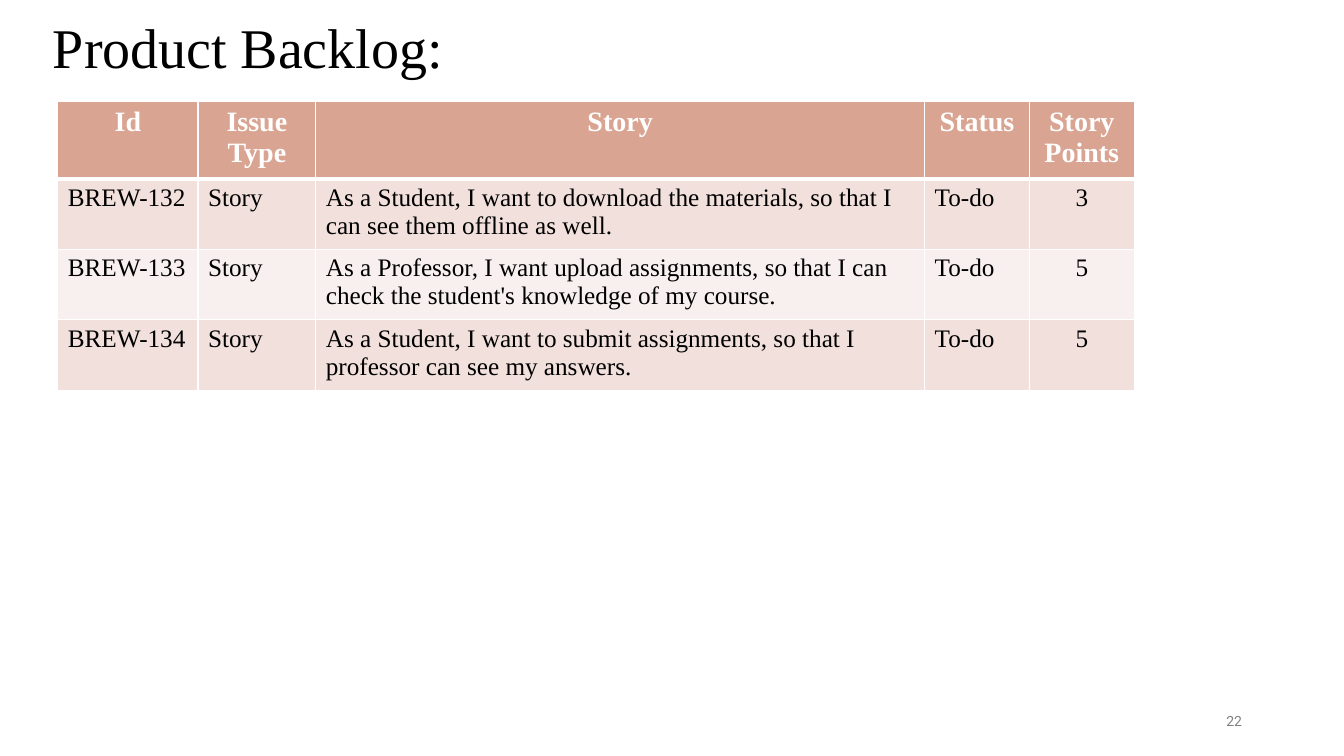
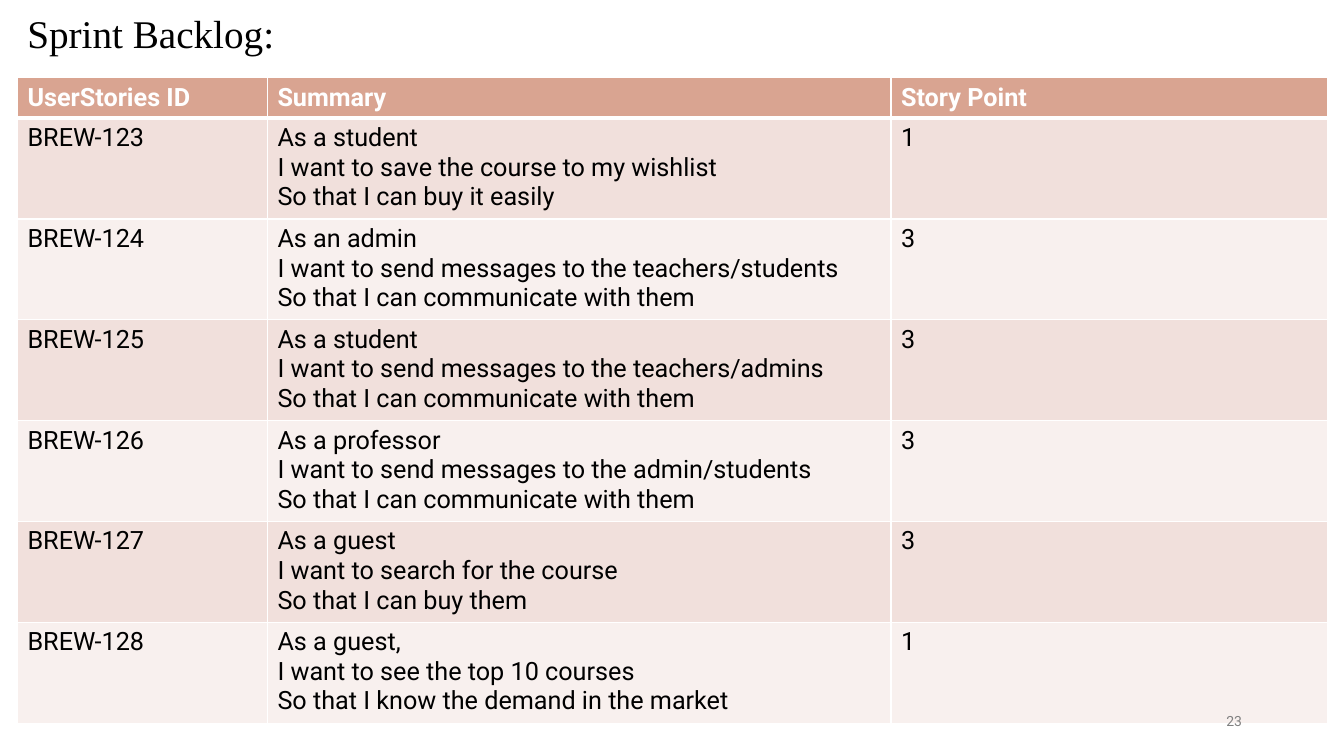
from lxml.etree import SubElement
from pptx import Presentation
from pptx.dml.color import RGBColor
from pptx.enum.text import MSO_ANCHOR as Anchor, PP_ALIGN as Align
from pptx.oxml.ns import qn
from pptx.util import Inches, Pt

COLORS = {
    "text": "000000",
    "white": "FFFFFF",
    "header": "D9A491",
    "odd": "F1E0DC",
    "even": "F8F0EE",
    "number": "808080",
}
SERIF, SANS = "Times New Roman", "Roboto"

PRODUCT_BACKLOG = [
    ("Id", "Issue Type", "Story", "Status", "Story Points"),
    ("BREW-132", "Story", "As a Student, I want to download the materials, "
     "so that I can see them offline as well.", "To-do", "3"),
    ("BREW-133", "Story", "As a Professor, I want upload assignments, "
     "so that I can check the student's knowledge of my course.", "To-do", "5"),
    ("BREW-134", "Story", "As a Student, I want to submit assignments, "
     "so that I professor can see my answers.", "To-do", "5"),
]

SPRINT_BACKLOG = [
    ("UserStories ID", "Summary", "Story Point"),
    ("BREW-123", "As a student\nI want to save the course to my wishlist\n"
     "So that I can buy it easily", "1"),
    ("BREW-124", "As an admin\nI want to send messages to the teachers/students\n"
     "So that I can communicate with them", "3"),
    ("BREW-125", "As a student\nI want to send messages to the teachers/admins\n"
     "So that I can communicate with them", "3"),
    ("BREW-126", "As a professor\nI want to send messages to the admin/students\n"
     "So that I can communicate with them", "3"),
    ("BREW-127", "As a guest\nI want to search for the course\n"
     "So that I can buy them", "3"),
    ("BREW-128", "As a guest,\nI want to see the top 10 courses\n"
     "So that I know the demand in the market", "1"),
]


class BacklogDeck:
    """Places elements by percentages of the slide's width and height."""

    def __init__(self):
        self.deck = Presentation()
        self.deck.slide_width = Inches(13.33)
        self.deck.slide_height = Inches(7.5)
        self.page = None

    def across(self, percent):
        return round(self.deck.slide_width * percent / 100)

    def down(self, percent):
        return round(self.deck.slide_height * percent / 100)

    def add_page(self):
        self.page = self.deck.slides.add_slide(self.deck.slide_layouts[6])

    def style(self, para, font, size, color, align=Align.LEFT, bold=False):
        para.alignment = align
        para.font.name = font
        para.font.size = Pt(size)
        para.font.bold = bold
        para.font.color.rgb = RGBColor.from_string(COLORS[color])

    def text(self, words, area, font, size, color, align=Align.LEFT):
        left, top, width, height = area
        box = self.page.shapes.add_textbox(
            self.across(left), self.down(top),
            self.across(width), self.down(height))
        frame = box.text_frame
        frame.word_wrap = True
        frame.vertical_anchor = Anchor.MIDDLE
        frame.text = words
        para = frame.paragraphs[0]
        self.style(para, font, size, color, align)
        return para

    def title(self, words, area, size):
        self.text(words, area, SERIF, size, "text").line_spacing = 0.9

    def page_number(self, number):
        self.text(str(number), (70.65, 92.7, 22.5, 5.3), SANS, 10, "number",
                  Align.RIGHT)

    def borders(self, cell, top, bottom):
        properties = cell._tc.get_or_add_tcPr()
        for side, points in (("L", 1), ("R", 1), ("T", top), ("B", bottom)):
            line = SubElement(properties, qn(f"a:ln{side}"), w=str(Pt(points)))
            fill = SubElement(line, qn("a:solidFill"))
            SubElement(fill, qn("a:srgbClr"), val=COLORS["white"])

    def table(self, rows, corner, widths, min_heights, font, sizes,
              header_align=Align.LEFT, centred=()):
        left, top = corner
        header_height, body_height = min_heights
        total = header_height + body_height * (len(rows) - 1)
        table = self.page.shapes.add_table(
            len(rows), len(widths), self.across(left), self.down(top),
            self.across(sum(widths)), self.down(total)).table
        for column, width in zip(table.columns, widths):
            column.width = self.across(width)
        for r, values in enumerate(rows):
            header = r == 0
            table.rows[r].height = self.down(header_height if header else body_height)
            shade = "header" if header else "odd" if r % 2 else "even"
            for c, value in enumerate(values):
                cell = table.cell(r, c)
                self.borders(cell, 3 if r == 1 else 1, 3 if header else 1)
                cell.fill.solid()
                cell.fill.fore_color.rgb = RGBColor.from_string(COLORS[shade])
                cell.text = value
                body_align = Align.CENTER if c in centred else Align.LEFT
                for para in cell.text_frame.paragraphs:
                    self.style(para, font, sizes[0 if header else 1],
                               "white" if header else "text",
                               header_align if header else body_align, header)


def main():
    show = BacklogDeck()

    show.add_page()
    show.title("Product Backlog:", (3.2, 2, 86.3, 9.33), 40)
    show.table(PRODUCT_BACKLOG, (4.3, 13.4), (10.43, 8.77, 45.3, 7.8, 7.8),
               (4.8, 2.8), SERIF, (20, 18), Align.CENTER, centred=(4,))
    show.page_number(22)

    show.add_page()
    show.title("Sprint Backlog:", (1.3, 2.1, 86.3, 5.2), 28)
    show.table(SPRINT_BACKLOG, (1.3, 10.3), (18.6, 46.4, 32.5),
               (3.9, 9.6), SANS, (18, 18))
    show.page_number(23)

    show.deck.save("out.pptx")


if __name__ == "__main__":
    main()
